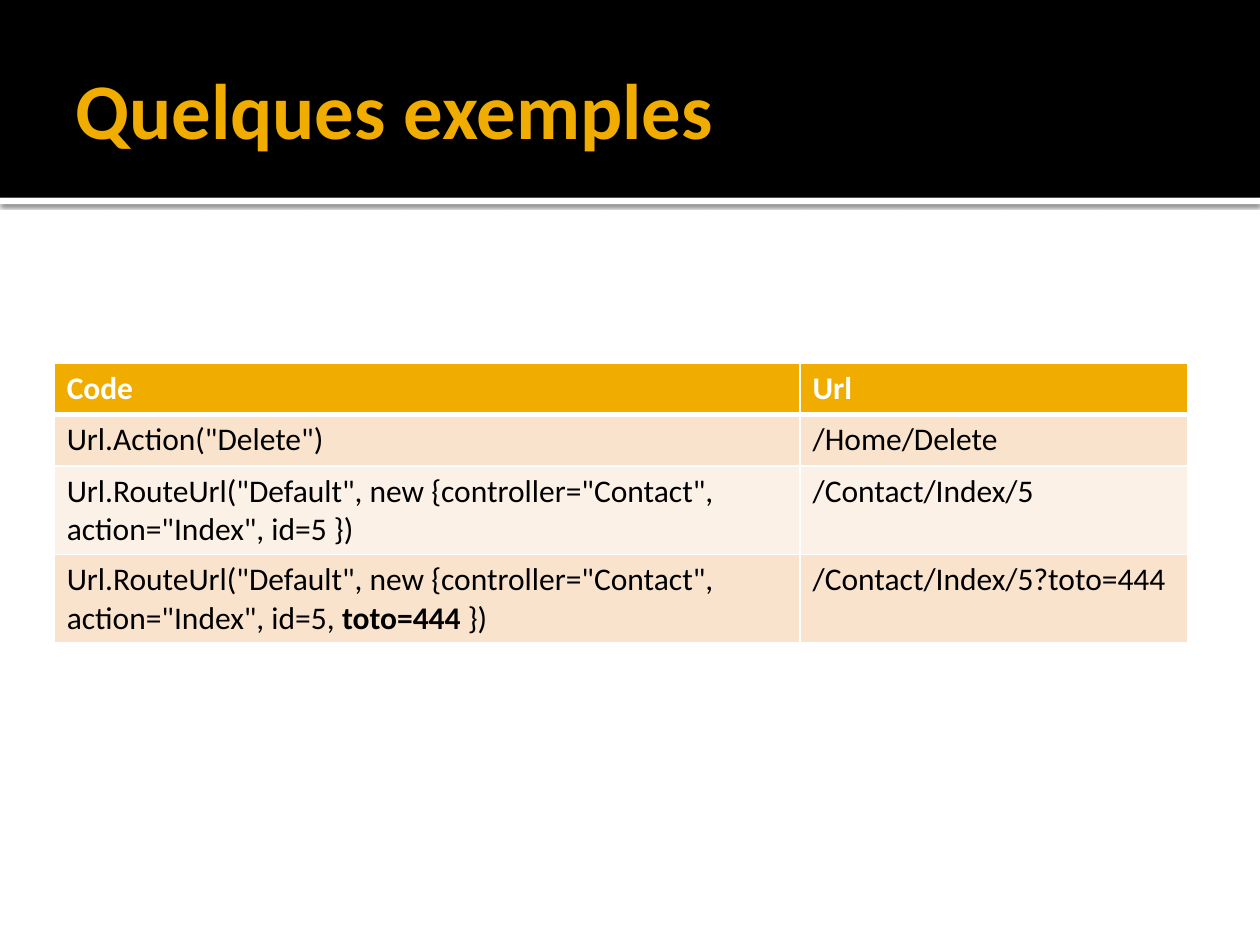
from lxml import etree
from pptx import Presentation
from pptx.dml.color import RGBColor
from pptx.enum.shapes import MSO_SHAPE
from pptx.enum.text import MSO_ANCHOR
from pptx.oxml import parse_xml
from pptx.oxml.ns import nsdecls, qn
from pptx.util import Inches, Pt

RECTANGLE = MSO_SHAPE.RECTANGLE
MIDDLE = MSO_ANCHOR.MIDDLE
FONT = "Calibri"
COLORS = {
    "white": "FFFFFF",
    "black": "000000",
    "gold": "F0AD00",
    "peach": "F9E3CC",
    "cream": "FCF1E7",
}


def format_run(run, size, color, bold):
    run.font.name = FONT
    run.font.size = Pt(size)
    run.font.bold = bold
    run.font.color.rgb = RGBColor.from_string(COLORS[color])


def add_border(cell, side, width):
    line = etree.SubElement(cell._tc.get_or_add_tcPr(), qn(f"a:{side}"), w=str(Pt(width)))
    fill = etree.SubElement(line, qn("a:solidFill"))
    etree.SubElement(fill, qn("a:srgbClr"), val=COLORS["white"])


presentation = Presentation()
presentation.slide_width = Inches(10)
presentation.slide_height = Inches(7.5)
slide = presentation.slides.add_slide(presentation.slide_layouts[6])

bands = []
for top, height, color in [(1.57, 0.05, "white"), (0, 1.57, "black")]:
    band = slide.shapes.add_shape(RECTANGLE, 0, Inches(top), Inches(10), Inches(height))
    band.shadow.inherit = False
    band.fill.solid()
    band.fill.fore_color.rgb = RGBColor.from_string(COLORS[color])
    band.line.fill.background()
    bands.append(band)

effects = bands[0]._element.spPr.find(qn("a:effectLst"))
effects.append(parse_xml(
    f'<a:outerShdw {nsdecls("a")} blurRad="{Pt(2.5)}" dist="{Pt(0.8)}" dir="5400000" '
    f'algn="tl" rotWithShape="0"><a:srgbClr val="{COLORS["black"]}">'
    '<a:alpha val="60000"/></a:srgbClr></a:outerShdw>'
))

title = slide.shapes.add_textbox(Inches(0.5), Inches(0.17), Inches(9), Inches(1.37))
title_frame = title.text_frame
title_frame.word_wrap = True
title_frame.vertical_anchor = MIDDLE
title_frame.margin_right = Inches(0.05)
title_frame.text = "Quelques exemples"
format_run(title_frame.paragraphs[0].runs[0], 45, "gold", True)

ROWS = [
    [["Code"], ["Url"]],
    [['Url.Action("Delete")'], ["/Home/Delete"]],
    [
        ['Url.RouteUrl("Default", new {controller="Contact", action="Index", id=5 })'],
        ["/Contact/Index/5"],
    ],
    [
        ['Url.RouteUrl("Default", new {controller="Contact", action="Index", id=5, ', "toto=444", " })"],
        ["/Contact/Index/5?toto=444"],
    ],
]
ROW_FILLS = ["gold", "peach", "cream", "peach"]
ROW_HEIGHT = 0.41

table = slide.shapes.add_table(
    len(ROWS), 2, Inches(0.43), Inches(2.88), Inches(9), Inches(ROW_HEIGHT * len(ROWS))
).table
for column, width in zip(table.columns, [5.92, 3.08]):
    column.width = Inches(width)

for row_index, (row, row_fill) in enumerate(zip(ROWS, ROW_FILLS)):
    table.rows[row_index].height = Inches(ROW_HEIGHT)
    is_header = row_index == 0
    for column_index, pieces in enumerate(row):
        cell = table.cell(row_index, column_index)
        paragraph = cell.text_frame.paragraphs[0]
        for piece in pieces:
            run = paragraph.add_run()
            run.text = piece
            format_run(run, 18, "white" if is_header else "black", is_header or piece == "toto=444")
        for side in ["lnL", "lnR", "lnT", "lnB"]:
            header_edge = (is_header and side == "lnB") or (row_index == 1 and side == "lnT")
            add_border(cell, side, 3 if header_edge else 1)
        cell.fill.solid()
        cell.fill.fore_color.rgb = RGBColor.from_string(COLORS[row_fill])

presentation.save("out.pptx")
